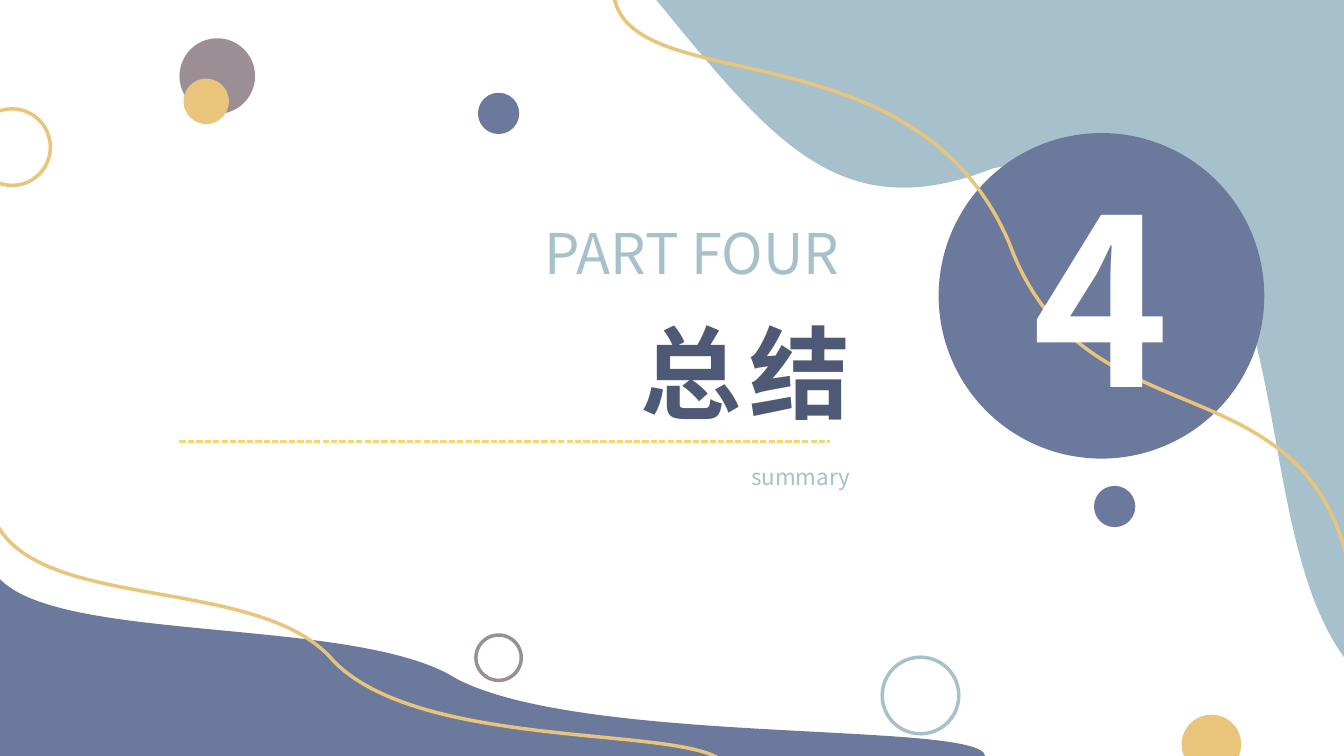
from dataclasses import dataclass

from lxml.etree import SubElement
from pptx import Presentation
from pptx.dml.color import RGBColor
from pptx.enum.dml import MSO_LINE
from pptx.enum.shapes import MSO_CONNECTOR, MSO_SHAPE
from pptx.enum.text import MSO_AUTO_SIZE, PP_ALIGN
from pptx.oxml.ns import qn
from pptx.util import Inches, Pt

FONT = "Noto Sans CJK SC"
HUES = {
    "sky": "A6C1CC",
    "blue": "6B799C",
    "navy": "4E5976",
    "gold": "E9C57B",
    "lemon": "F4D973",
    "mauve": "9B8E95",
    "white": "FFFFFF",
}
Point = tuple[float, float]


@dataclass
class Dot:
    left: float
    top: float
    size: float
    hue: str
    ring: bool = False


@dataclass
class Wave:
    start: Point
    bends: list[tuple[Point, ...]]
    hue: str
    ring: bool = False


ITEMS = [
    Wave((13.33, 0), [
        ((6.51, 0),),
        ((7.68, 1.43), (8.35, 2.26), (9.85, 1.67)),
        ((13.2, 0.99), (12.17, 4.9), (13.33, 6.52)),
    ], "sky"),
    Dot(4.72, 6.3, 0.45, "mauve", ring=True),
    Dot(9.31, 1.32, 3.23, "blue"),
    Wave((10.01, 2.41), [
        ((10.78, 4.53), (13.18, 3.42), (13.44, 6.01)),
        ((13.44, -0.13),),
        ((6.08, -0.13),),
        ((6.1, 1.03), (9.06, 0.18), (10.01, 2.41)),
    ], "gold", ring=True),
    Dot(8.75, 6.52, 0.76, "sky", ring=True),
    Dot(11.72, 7.09, 0.59, "gold"),
    Dot(4.74, 0.92, 0.41, "blue"),
    Dot(1.78, 0.38, 0.75, "mauve"),
    Dot(-0.26, 1.08, 0.76, "gold", ring=True),
    Dot(1.82, 0.78, 0.45, "gold"),
    Dot(10.85, 4.82, 0.41, "blue"),
    Wave((4.52, 6.73), [
        ((3.49, 6.08), (0.28, 6.42), (-0.08, 5.63)),
        ((-0.08, 7.5),),
        ((9.77, 7.5),),
        ((9.74, 7.15), (5.78, 7.4), (4.52, 6.73)),
    ], "blue"),
    Wave((3.31, 6.56), [
        ((2.55, 5.65), (0.16, 6.13), (-0.1, 5.02)),
        ((-0.1, 7.65),),
        ((7.22, 7.65),),
        ((7.19, 7.15), (4.25, 7.52), (3.31, 6.56)),
    ], "gold", ring=True),
]


def tint(hue: str) -> RGBColor:
    return RGBColor.from_string(HUES[hue])


def paint(shape, hue: str, ring: bool) -> None:
    shape.shadow.inherit = False
    if ring:
        shape.fill.background()
        shape.line.color.rgb = tint(hue)
        shape.line.width = Pt(2.5)
    else:
        shape.fill.solid()
        shape.fill.fore_color.rgb = tint(hue)
        shape.line.fill.background()


def add_dot(slide, dot: Dot) -> None:
    size = Inches(dot.size)
    shape = slide.shapes.add_shape(
        MSO_SHAPE.OVAL, Inches(dot.left), Inches(dot.top), size, size)
    paint(shape, dot.hue, dot.ring)


def add_wave(slide, wave: Wave) -> None:
    form = slide.shapes.build_freeform(*map(Inches, wave.start), scale=1.0)
    form.add_line_segments(
        [(Inches(x), Inches(y)) for bend in wave.bends for x, y in bend],
        close=True)
    shape = form.convert_to_shape()
    trace = next(shape.element.iter(qn("a:path")))
    steps = iter(trace.findall(qn("a:lnTo")))
    for bend in wave.bends:
        first, *rest = [next(steps) for _ in bend]
        if rest:
            first.tag = qn("a:cubicBezTo")
        for step in rest:
            first.append(step[0])
            trace.remove(step)
    paint(shape, wave.hue, wave.ring)


def add_text(slide, text: str, *, left: float, top: float, width: float,
             height: float, size: int, hue: str, bold: bool = False,
             gap: int = 0, align: PP_ALIGN = PP_ALIGN.RIGHT) -> None:
    box = slide.shapes.add_textbox(*map(Inches, (left, top, width, height)))
    frame = box.text_frame
    frame.word_wrap = True
    frame.auto_size = MSO_AUTO_SIZE.SHAPE_TO_FIT_TEXT
    line = frame.paragraphs[0]
    line.alignment = align
    run = line.add_run()
    run.text = text
    run.font.size = Pt(size)
    run.font.bold = bold
    run.font.name = FONT
    run.font.color.rgb = tint(hue)
    props = run.font._element
    SubElement(props, qn("a:ea")).set("typeface", FONT)
    if gap:
        props.set("spc", str(gap * 100))


def add_rule(slide) -> None:
    rule = slide.shapes.add_connector(
        MSO_CONNECTOR.STRAIGHT, *map(Inches, (1.78, 4.38, 8.23, 4.38)))
    rule.line.color.rgb = tint("lemon")
    rule.line.width = Pt(1.5)
    rule.line.dash_style = MSO_LINE.SQUARE_DOT
    SubElement(rule._element.spPr, qn("a:effectLst"))


def main() -> None:
    deck = Presentation()
    deck.slide_width, deck.slide_height = Inches(13.33), Inches(7.5)
    slide = deck.slides.add_slide(deck.slide_layouts[6])
    for item in ITEMS:
        if isinstance(item, Dot):
            add_dot(slide, item)
        else:
            add_wave(slide, item)
    add_rule(slide)
    add_text(slide, "4", left=9.5, top=1.49, width=2.85, height=2.89,
             size=166, hue="white", bold=True, gap=6, align=PP_ALIGN.CENTER)
    add_text(slide, "总结", left=1.16, top=3.03, width=7.37, height=1.31,
             size=72, hue="navy", bold=True, gap=6)
    add_text(slide, "summary", left=0.73, top=4.55, width=7.8, height=0.37,
             size=16, hue="sky")
    add_text(slide, "PART FOUR", left=4.72, top=2.12, width=3.7, height=0.77,
             size=40, hue="sky")
    deck.save("out.pptx")


if __name__ == "__main__":
    main()
